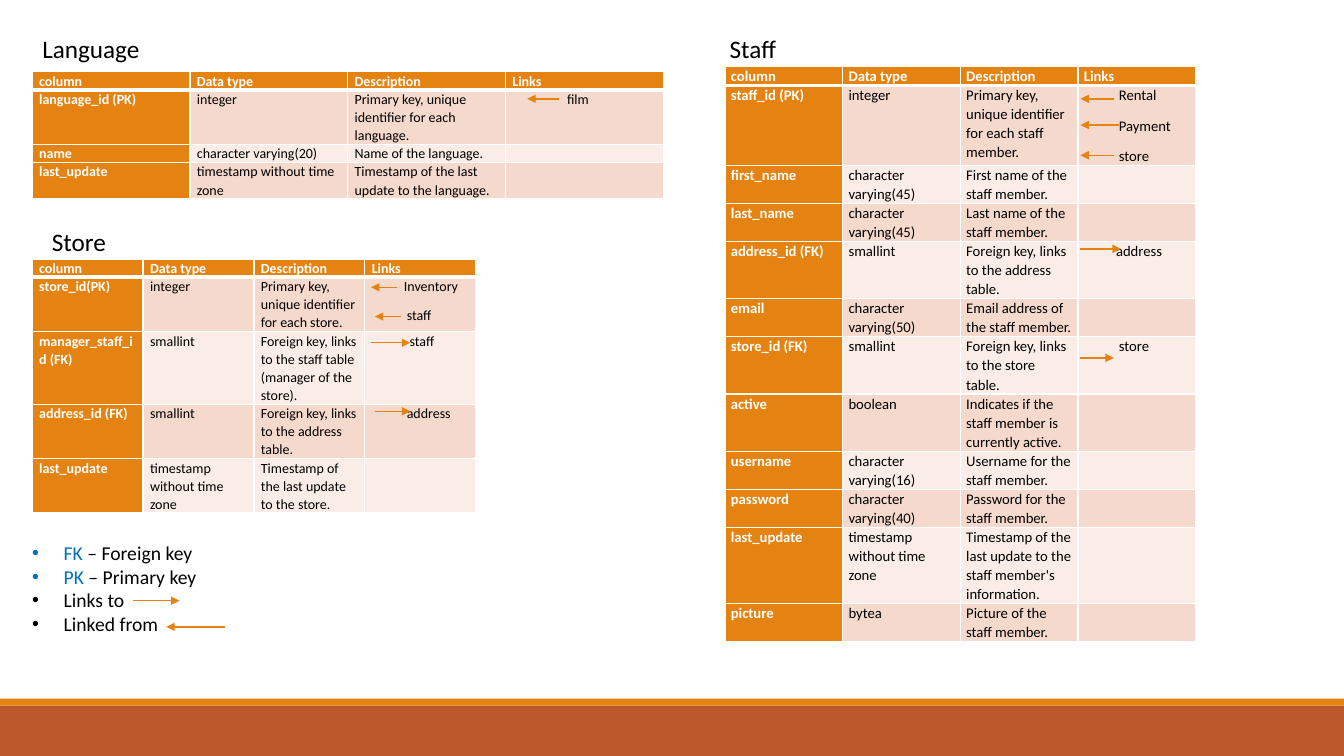
"""Build a slide of database table descriptions with key links."""
from lxml import etree
from pptx import Presentation
from pptx import util as u
from pptx.dml.color import RGBColor
from pptx.enum import shapes, text
from pptx.oxml.ns import qn

COLORS = {
    "orange": "E48312", "rust": "BD582C", "white": "FFFFFF", "black": "000000",
    "blue": "0070C0", "odd": "F5D9CC", "even": "FAEDE7",
}
HEADERS = ("column", "Data type", "Description", "Links")
LANGUAGE_ROWS = [
    ("language_id (PK)", "integer", "Primary key, unique identifier for each language.", ("film", 39)),
    ("name", "character varying(20)", "Name of the language."),
    ("last_update", "timestamp without time zone", "Timestamp of the last update to the language."),
]
STORE_ROWS = [
    ("store_id(PK)", "integer", "Primary key, unique identifier for each store.",
     ("Inventory", 23), ("staff", 25)),
    ("manager_staff_id (FK)", "smallint",
     "Foreign key, links to the staff table (manager of the store).", ("staff", 27)),
    ("address_id (FK)", "smallint", "Foreign key, links to the address table.", ("address", 25)),
    ("last_update", "timestamp without time zone", "Timestamp of the last update to the store."),
]
STAFF_ROWS = [
    ("staff_id (PK)", "integer", "Primary key, unique identifier for each staff member.",
     ("Rental", 25), ("Payment", 25), ("store", 25)),
    ("first_name", "character varying(45)", "First name of the staff member."),
    ("last_name", "character varying(45)", "Last name of the staff member."),
    ("address_id (FK)", "smallint", "Foreign key, links to the address table.", ("address", 23)),
    ("email", "character varying(50)", "Email address of the staff member."),
    ("store_id (FK)", "smallint", "Foreign key, links to the store table.", ("store", 25)),
    ("active", "boolean", "Indicates if the staff member is currently active."),
    ("username", "character varying(16)", "Username for the staff member."),
    ("password", "character varying(40)", "Password for the staff member."),
    ("last_update", "timestamp without time zone",
     "Timestamp of the last update to the staff member's information."),
    ("picture", "bytea", "Picture of the staff member."),
]
LEGEND = [("FK", " – Foreign key"), ("PK ", "– Primary key"), ("Links to",), ("Linked from",)]
ARROWS = [
    (399.6, 70.6, 376.6),
    (795.6, 70.6, 771.8), (799.2, 89.3, 771.8), (795.6, 110.9, 771.8),
    (771.8, 177.8, 800.6), (771.8, 255.6, 795.6),
    (265, 244.8, 293), (267.8, 293.8, 293), (283.7, 205.2, 265), (286.6, 226.1, 267.8),
    (95, 429.1, 128.2), (160.6, 447.8, 118.8),
]


def rgb(name):
    return RGBColor.from_string(COLORS[name])


def format_runs(paragraph, size, color, bold=False):
    for run in paragraph.runs:
        run.font.name = "Calibri"
        run.font.size = u.Pt(size)
        run.font.bold = bold
        run.font.color.rgb = rgb(color)


def place(shape, left, top, width, height):
    shape.left, shape.top, shape.width, shape.height = map(u.Pt, (left, top, width, height))


def set_frame(shape):
    frame = shape.text_frame
    frame.word_wrap = True
    frame.auto_size = text.MSO_AUTO_SIZE.NONE
    frame.vertical_anchor = text.MSO_ANCHOR.TOP
    return frame


def add_heading(shape, heading, box, tab=None):
    place(shape, *box)
    frame = set_frame(shape)
    frame.text = heading
    paragraph = frame.paragraphs[0]
    paragraph.alignment = text.PP_ALIGN.LEFT
    if tab:
        tabs = etree.SubElement(paragraph._p.get_or_add_pPr(), qn("a:tabLst"))
        etree.SubElement(tabs, qn("a:tab"), pos=str(u.Pt(tab)), algn="l")
    format_runs(paragraph, 18, "black")


def add_legend(shape, box):
    place(shape, *box)
    frame = set_frame(shape)
    for index, parts in enumerate(LEGEND):
        paragraph = frame.paragraphs[0] if index == 0 else frame.add_paragraph()
        properties = paragraph._p.get_or_add_pPr()
        properties.set("marL", str(u.Pt(22.5)))
        properties.set("indent", str(u.Pt(-22.5)))
        etree.SubElement(properties, qn("a:buFont"), typeface="Arial")
        etree.SubElement(properties, qn("a:buChar"), char="•")
        paragraph.space_before = u.Pt(0)
        for part in parts:
            paragraph.add_run().text = part
        format_runs(paragraph, 14, "black")
        if len(parts) == 2:
            paragraph.runs[0].font.color.rgb = rgb("blue")


def add_bar(slide, color, top, height):
    bar = slide.shapes.add_shape(shapes.MSO_SHAPE.RECTANGLE, 0, u.Pt(top), u.Pt(960), u.Pt(height))
    bar.shadow.inherit = False
    bar.fill.solid()
    bar.fill.fore_color.rgb = rgb(color)
    bar.line.fill.background()


def add_arrow(slide, start, y, end):
    arrow = slide.shapes.add_connector(
        shapes.MSO_CONNECTOR.STRAIGHT, u.Pt(start), u.Pt(y), u.Pt(end), u.Pt(y))
    arrow.line.color.rgb = rgb("orange")
    arrow.line.width = u.Pt(1)
    etree.SubElement(arrow.line._get_or_add_ln(), qn("a:tailEnd"), type="triangle")
    etree.SubElement(arrow._element.spPr, qn("a:effectLst"))


def set_borders(cell, row):
    widths = {"L": 1, "R": 1, "T": 3 if row == 1 else 1, "B": 3 if row == 0 else 1}
    properties = cell._tc.get_or_add_tcPr()
    for index, (side, width) in enumerate(widths.items()):
        line = etree.Element(qn("a:ln" + side), w=str(u.Pt(width)))
        fill = etree.SubElement(line, qn("a:solidFill"))
        etree.SubElement(fill, qn("a:srgbClr"), val=COLORS["white"])
        properties.insert(index, line)


def fill_cell(cell, entries, size, row, column, inset):
    strong = row == 0 or column == 0
    cell.margin_left = cell.margin_right = u.Pt(inset)
    cell.margin_top = cell.margin_bottom = 0
    cell.fill.solid()
    cell.fill.fore_color.rgb = rgb("orange" if strong else "odd" if row % 2 else "even")
    set_borders(cell, row)
    frame = cell.text_frame
    if not entries:
        etree.SubElement(frame.paragraphs[0]._p, qn("a:endParaRPr"), sz=str(int(size * 100)))
    for index, (words, indent) in enumerate(entries):
        paragraph = frame.paragraphs[0] if index == 0 else frame.add_paragraph()
        paragraph.text = words
        paragraph.line_spacing = 1.07
        paragraph.space_after = u.Pt(8)
        if indent:
            paragraph._p.get_or_add_pPr().set("marL", str(u.Pt(indent)))
        format_runs(paragraph, size, "white" if strong else "black", strong)


def add_data_table(slide, rows, position, column_width, line_counts, size, line_height, inset):
    heights = [line_height * count for count in [1] + line_counts]
    frame = slide.shapes.add_table(
        len(heights), len(HEADERS), *map(u.Pt, position),
        u.Pt(column_width * len(HEADERS)), u.Pt(sum(heights)))
    table = frame.table
    for column in table.columns:
        column.width = u.Pt(column_width)
    for row, height in enumerate(heights):
        table.rows[row].height = u.Pt(height)
        values = HEADERS if row == 0 else rows[row - 1][:3]
        cells = [[(value, 0)] for value in values]
        if row:
            cells.append(rows[row - 1][3:])
        for column, entries in enumerate(cells):
            fill_cell(table.cell(row, column), entries, size, row, column, inset)


def main():
    presentation = Presentation()
    presentation.slide_width, presentation.slide_height = u.Pt(960), u.Pt(540)
    slide = presentation.slides.add_slide(presentation.slide_layouts[1])
    add_bar(slide, "rust", 504, 36)
    add_bar(slide, "orange", 499, 5)
    add_heading(slide.shapes.title, "Language\tStaff", (23, 20, 891, 73), 491)
    add_data_table(slide, LANGUAGE_ROWS, (23, 51.2), 112.7, [3, 1, 2], 10, 12.8, 5)
    add_data_table(slide, STAFF_ROWS, (517.9, 47.5), 84.05,
                   [4, 2, 2, 3, 2, 2, 3, 2, 2, 4, 2], 10.5, 13.5, 4.2)
    add_data_table(slide, STORE_ROWS, (23, 185), 79.2, [3, 4, 3, 3], 10, 12.8, 5)
    add_legend(slide.placeholders[1], (15.8, 383, 480, 75))
    add_heading(slide.shapes.add_textbox(0, 0, 0, 0), "Store", (30, 158.4, 201, 29))
    for arrow in ARROWS:
        add_arrow(slide, *arrow)
    presentation.save("out.pptx")


if __name__ == "__main__":
    main()
